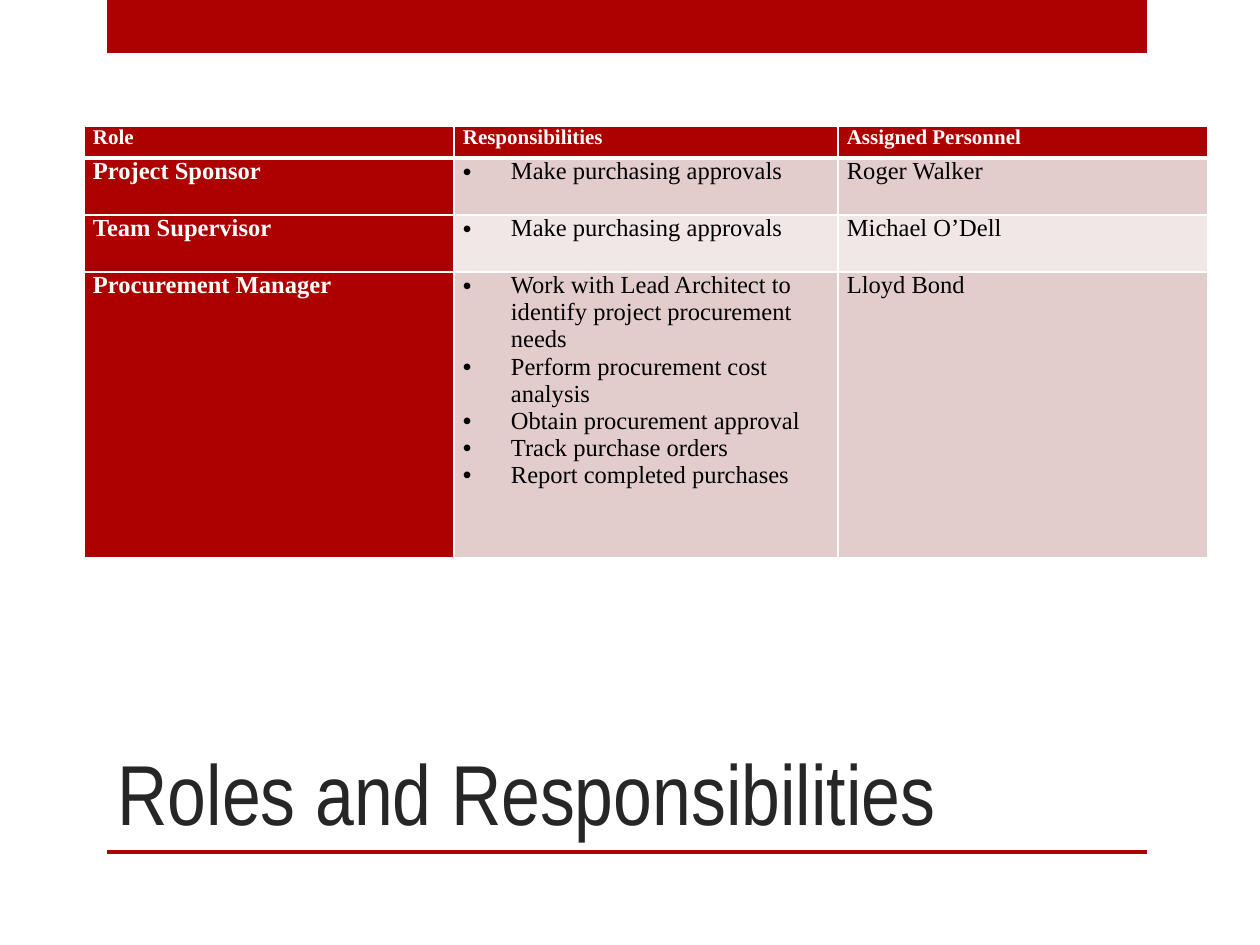
from dataclasses import dataclass

from lxml.etree import SubElement
from pptx import Presentation
from pptx.dml.color import RGBColor as RGB
from pptx.enum.shapes import MSO_SHAPE as Shape
from pptx.enum.text import MSO_ANCHOR as Anchor, PP_ALIGN as Align
from pptx.oxml.ns import qn
from pptx.util import Emu, Pt

PX_PER_INCH = 126
SLIDE_SIZE = (1260, 945)


@dataclass(frozen=True)
class Theme:
    accent: str = "AD0101"
    title: str = "262626"
    text: str = "000000"
    white: str = "FFFFFF"
    bands: tuple = ("E3CCCC", "F1E7E7")
    title_font: str = "Arial Narrow"
    table_font: str = "Times New Roman"
    title_size: float = 48.6
    header_size: int = 12
    cell_size: int = 14
    space_before: int = 6
    border: int = 1
    header_border: int = 3


THEME = Theme()

HEADERS = ("Role", "Responsibilities", "Assigned Personnel")
ROLES = (
    ("Project Sponsor", ("Make purchasing approvals",), "Roger Walker"),
    ("Team Supervisor", ("Make purchasing approvals",), "Michael O’Dell"),
    ("Procurement Manager", (
        "Work with Lead Architect to identify project procurement needs",
        "Perform procurement cost analysis",
        "Obtain procurement approval",
        "Track purchase orders",
        "Report completed purchases",
    ), "Lloyd Bond"),
)
COLUMN_WIDTHS = (370, 384, 370)
ROW_HEIGHTS = (32, 57, 57, 286)


def px(length):
    return Emu(round(length * 914400 / PX_PER_INCH))


def add_run(paragraph, text, font, size, color, bold=False):
    run = paragraph.add_run()
    run.text = text
    run.font.name = font
    run.font.size = Pt(size)
    run.font.bold = bold
    run.font.color.rgb = RGB.from_string(color)


def add_bar(slide, box):
    bar = slide.shapes.add_shape(Shape.RECTANGLE, *map(px, box))
    bar.shadow.inherit = False
    bar.fill.solid()
    bar.fill.fore_color.rgb = RGB.from_string(THEME.accent)
    bar.line.fill.background()


def add_frame(slide, box):
    """Place the thick bar at the top and the thin rule at the bottom of the box."""
    left, top, width, height = box
    rule = 4
    add_bar(slide, (left, top, width, 53))
    add_bar(slide, (left, top + height - rule, width, rule))


def place_title(slide, text, box):
    title = slide.shapes.title
    title.left, title.top, title.width, title.height = map(px, box)
    frame = title.text_frame
    frame.word_wrap = True
    frame.vertical_anchor = Anchor.BOTTOM
    paragraph = frame.paragraphs[0]
    paragraph.alignment = Align.LEFT
    paragraph.line_spacing = 0.9
    add_run(paragraph, text, THEME.title_font, THEME.title_size, THEME.title)


def add_bullet(paragraph):
    properties = paragraph._p.get_or_add_pPr()
    indent = px(48)
    properties.set("marL", str(indent))
    properties.set("indent", str(-indent))
    SubElement(properties, qn("a:buFont"), typeface="Arial")
    SubElement(properties, qn("a:buChar"), char="•")


def set_borders(cell, top, bottom):
    properties = cell._tc.get_or_add_tcPr()
    widths = {"L": THEME.border, "R": THEME.border, "T": top, "B": bottom}
    for position, (side, width) in enumerate(widths.items()):
        line = SubElement(properties, qn(f"a:ln{side}"), w=str(Pt(width)))
        fill = SubElement(line, qn("a:solidFill"))
        SubElement(fill, qn("a:srgbClr"), val=THEME.white)
        properties.insert(position, line)


def fill_cell(cell, lines, fill, color, size, bold, bulleted):
    cell.fill.solid()
    cell.fill.fore_color.rgb = RGB.from_string(fill)
    cell.margin_left = cell.margin_right = px(9)
    cell.margin_top = cell.margin_bottom = 0
    cell.vertical_anchor = Anchor.TOP
    frame = cell.text_frame
    for index, text in enumerate(lines):
        paragraph = frame.add_paragraph() if index else frame.paragraphs[0]
        paragraph.space_before = Pt(0 if index else THEME.space_before)
        if bulleted:
            add_bullet(paragraph)
        add_run(paragraph, text, THEME.table_font, size, color, bold)


def add_roles_table(slide, left, top):
    rows = [[(header,) for header in HEADERS]]
    rows += [[(role,), duties, (person,)] for role, duties, person in ROLES]
    table = slide.shapes.add_table(
        len(rows), len(HEADERS), px(left), px(top),
        px(sum(COLUMN_WIDTHS)), px(sum(ROW_HEIGHTS))).table
    table.horz_banding = False
    for column, width in zip(table.columns, COLUMN_WIDTHS):
        column.width = px(width)
    for row, height in zip(table.rows, ROW_HEIGHTS):
        row.height = px(height)

    for row_index, row in enumerate(rows):
        is_header = row_index == 0
        size = THEME.header_size if is_header else THEME.cell_size
        band = THEME.bands[(row_index - 1) % len(THEME.bands)]
        top_border = THEME.header_border if row_index == 1 else THEME.border
        bottom_border = THEME.header_border if is_header else THEME.border
        for column_index, lines in enumerate(row):
            is_heading = is_header or column_index == 0
            cell = table.cell(row_index, column_index)
            fill_cell(
                cell, lines, size=size, bold=is_heading,
                fill=THEME.accent if is_heading else band,
                color=THEME.white if is_heading else THEME.text,
                bulleted=column_index == 1 and not is_header)
            set_borders(cell, top_border, bottom_border)


def main():
    presentation = Presentation()
    presentation.slide_width, presentation.slide_height = map(px, SLIDE_SIZE)
    slide = presentation.slides.add_slide(presentation.slide_layouts[5])
    add_frame(slide, (107, 0, 1040, 854))
    place_title(slide, "Roles and Responsibilities", (105, 630, 935, 220))
    add_roles_table(slide, 84, 126)
    presentation.save("out.pptx")


if __name__ == "__main__":
    main()
